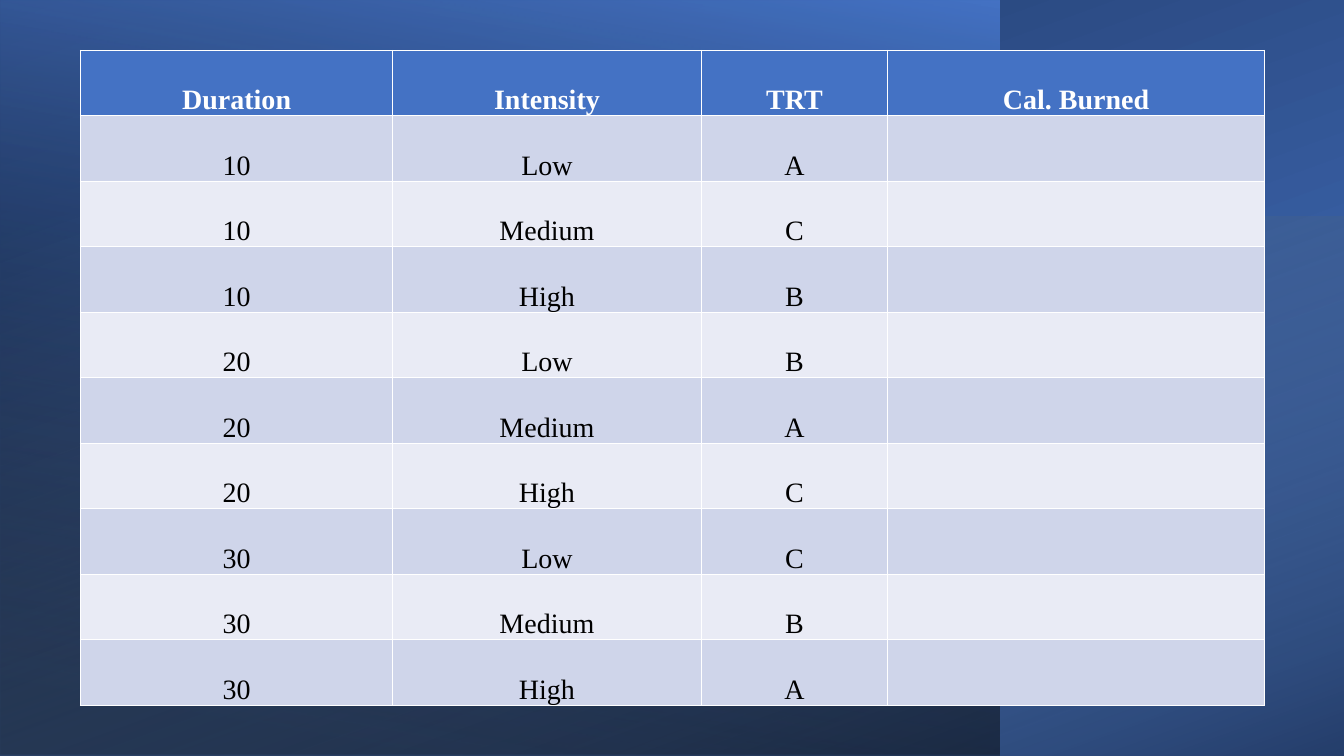
"""Build a slide with a table of exercise treatments on a blue gradient."""
from lxml.etree import SubElement
from pptx import Presentation
from pptx.dml.color import RGBColor
from pptx.enum.shapes import MSO_SHAPE
from pptx.enum.text import MSO_ANCHOR, PP_ALIGN
from pptx.oxml.ns import qn
from pptx.util import Cm, Pt

WIDE, HIGH = 33.87, 19.05
HUES = {
    "blue": "4472C4", "navy": "203864", "sky": "9DC3E6", "black": "000000",
    "white": "FFFFFF", "odd": "CFD5EA", "even": "E9EBF5",
}
COLS = [7.87, 7.77, 4.7, 9.5]
ROWS = [
    ("Duration", "Intensity", "TRT", "Cal. Burned"),
    ("10", "Low", "A", ""),
    ("10", "Medium", "C", ""),
    ("10", "High", "B", ""),
    ("20", "Low", "B", ""),
    ("20", "Medium", "A", ""),
    ("20", "High", "C", ""),
    ("30", "Low", "C", ""),
    ("30", "Medium", "B", ""),
    ("30", "High", "A", ""),
]
PANELS = [
    ((0, 0, WIDE, HIGH), 270, 200, [(8, "blue", 100), (100, "navy", 100)]),
    ((0, 0, 25.2, HIGH), 180, 80, [(8, "black", 52), (100, "blue", 100)]),
    ((0, 5.46, WIDE, 13.59), 270, 20, [(0, "sky", 0), (100, "black", 46)]),
]
CELL = {
    "vertical_anchor": MSO_ANCHOR.BOTTOM, "margin_left": Cm(0.05),
    "margin_right": Cm(0.05), "margin_top": Cm(0.05), "margin_bottom": 0,
}


def hue(name):
    return RGBColor.from_string(HUES[name])


def apply(item, form):
    for key, value in form.items():
        setattr(item, key, value)


def add_panel(slide, box, turn, angle, stops):
    left, top, wide, high = box
    w, h = (high, wide) if turn == 270 else (wide, high)
    x, y = left + (wide - w) / 2, top + (high - h) / 2
    panel = slide.shapes.add_shape(MSO_SHAPE.RECTANGLE, *map(Cm, (x, y, w, h)))
    panel.rotation = turn
    panel.shadow.inherit = False
    panel.line.fill.background()
    frame = panel._element.spPr
    frame.find(qn("a:xfrm")).set("flipH", "1")
    panel.fill.gradient()
    panel.fill.gradient_angle = 360 - angle
    for stop, (place, name, _) in zip(panel.fill.gradient_stops, stops):
        stop.position = place / 100
        stop.color.rgb = hue(name)
    for tint, (_, _, alpha) in zip(frame.iter(qn("a:srgbClr")), stops):
        SubElement(tint, qn("a:alpha")).set("val", str(alpha * 1000))


def fill_cell(cell, text, shade, font):
    cell.fill.solid()
    cell.fill.fore_color.rgb = hue(shade)
    apply(cell, CELL)
    para = cell.text_frame.paragraphs[0]
    para.alignment = PP_ALIGN.CENTER
    if text:
        run = para.add_run()
        run.text = text
        apply(run.font, {"name": "Times New Roman", "size": Pt(20), **font})


def add_grid(slide):
    high = 1.65
    size = (2.03, 1.27, sum(COLS), high * len(ROWS))
    grid = slide.shapes.add_table(len(ROWS), len(COLS), *map(Cm, size)).table
    for col, wide in zip(grid.columns, COLS):
        col.width = Cm(wide)
    for i, texts in enumerate(ROWS):
        grid.rows[i].height = Cm(high)
        shade = "blue" if i == 0 else "odd" if i % 2 else "even"
        for cell, text in zip(grid.rows[i].cells, texts):
            fill_cell(cell, text, shade, {"bold": i == 0})
            for run in cell.text_frame.paragraphs[0].runs:
                run.font.color.rgb = hue("black" if i else "white")


def main():
    deck = Presentation()
    apply(deck, {"slide_width": Cm(WIDE), "slide_height": Cm(HIGH)})
    slide = deck.slides.add_slide(deck.slide_layouts[6])
    for panel in PANELS:
        add_panel(slide, *panel)
    add_grid(slide)
    deck.save("out.pptx")


if __name__ == "__main__":
    main()
